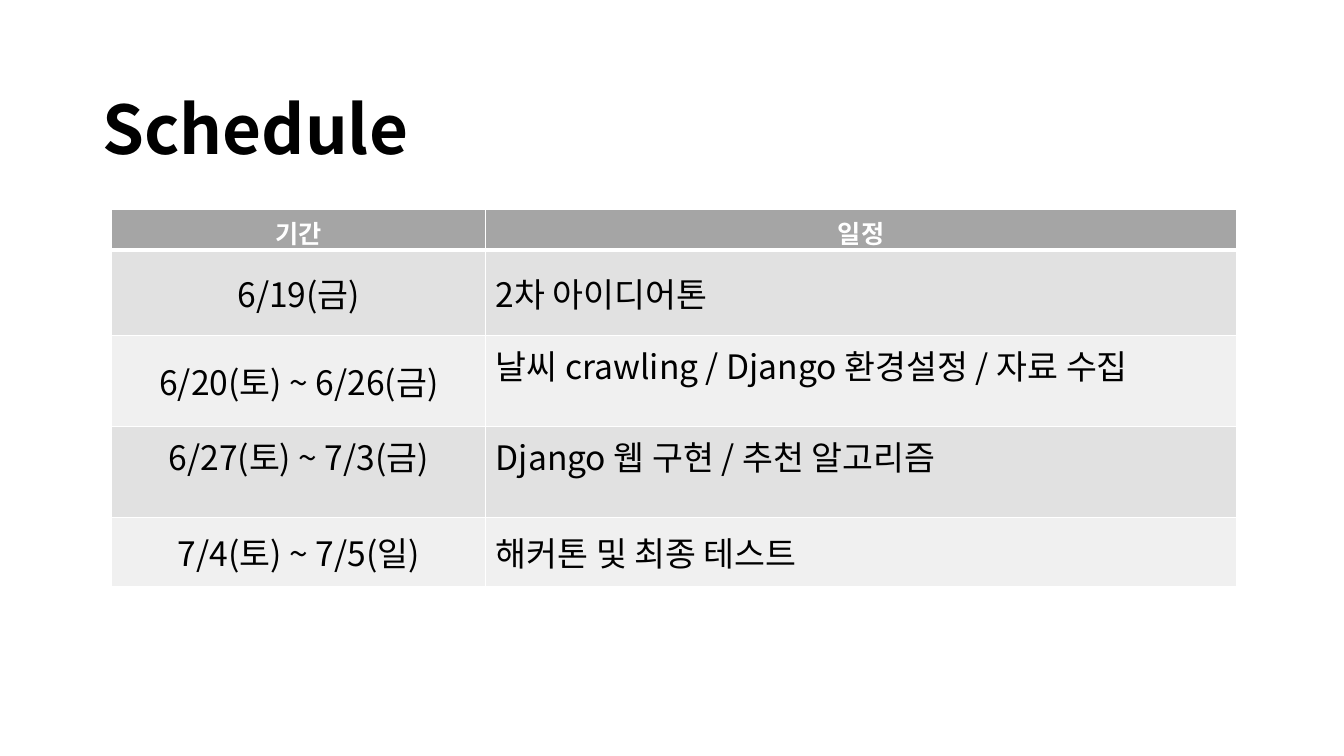
from lxml import etree
from pptx import Presentation
from pptx.dml.color import RGBColor
from pptx.enum.text import MSO_ANCHOR as ANCHOR, PP_ALIGN as ALIGN
from pptx.oxml.ns import qn
from pptx.util import Cm, Pt

FONT = "Noto Sans CJK KR"
HEADER = ("기간", "일정")
PLANS = [
    ("6/19(금)", "2차 아이디어톤"),
    ("6/20(토) ~ 6/26(금)", "날씨 crawling / Django 환경설정 / 자료 수집"),
    ("6/27(토) ~ 7/3(금)", "Django 웹 구현 / 추천 알고리즘"),
    ("7/4(토) ~ 7/5(일)", "해커톤 및 최종 테스트"),
]
COL_WIDTHS = (9.42, 18.92)
ROW_HEIGHTS = (1.02, 2.16, 2.29, 2.29, 1.73)
RAISED = {(2, 1), (3, 0), (3, 1)}
HEAD_TEXT = {"size": Pt(18), "bold": True}
BODY_TEXT = {"size": Pt(24), "bold": False}
TITLE_TEXT = {"size": Pt(48), "bold": True}


def rgb(value):
    """Turn a hex string into a colour."""
    return RGBColor.from_string(value)


def write(tf, text, color, align, fmt):
    """Put one formatted line into a text frame."""
    p = tf.paragraphs[0]
    p.alignment = align
    r = p.add_run()
    r.text = text
    for name, value in {"name": FONT, **fmt}.items():
        setattr(r.font, name, value)
    r.font.color.rgb = rgb(color)
    etree.SubElement(r.font._element, qn("a:ea"), typeface=FONT)


def add_borders(cell, color, widths):
    """Draw the cell borders with the given widths in points."""
    tc_pr = cell._tc.get_or_add_tcPr()
    for side, width in widths.items():
        ln = etree.SubElement(tc_pr, qn(f"a:ln{side}"), w=str(Pt(width)))
        fill = etree.SubElement(ln, qn("a:solidFill"))
        etree.SubElement(fill, qn("a:srgbClr"), val=color)


def add_title(slide, text, left, top, width, height):
    """Place the slide title in its box."""
    tf = slide.shapes.add_textbox(Cm(left), Cm(top), Cm(width), Cm(height)).text_frame
    tf.word_wrap = True
    write(tf, text, "000000", ALIGN.CENTER, TITLE_TEXT)


def fill_cell(cell, row, col, text):
    """Style one schedule cell by its row and column."""
    head = row == 0
    add_borders(cell, "FFFFFF", {
        "L": 1, "R": 1, "T": 3 if row == 1 else 1, "B": 3 if head else 1})
    cell.fill.solid()
    cell.fill.fore_color.rgb = rgb("A5A5A5" if head else "E1E1E1" if row % 2 else "F0F0F0")
    cell.vertical_anchor = ANCHOR.TOP if head else ANCHOR.MIDDLE
    if head:
        cell.margin_bottom = 0
    elif (row, col) in RAISED:
        cell.margin_bottom = Cm(0.94)
    write(cell.text_frame, text, "FFFFFF" if head else "000000",
          ALIGN.CENTER if head or col == 0 else ALIGN.LEFT,
          HEAD_TEXT if head else BODY_TEXT)


def add_schedule(slide, left, top):
    """Build the schedule table from its top left corner."""
    rows = [HEADER, *PLANS]
    table = slide.shapes.add_table(
        len(rows), len(HEADER), Cm(left), Cm(top),
        Cm(sum(COL_WIDTHS)), Cm(sum(ROW_HEIGHTS))).table
    for column, width in zip(table.columns, COL_WIDTHS):
        column.width = Cm(width)
    for i, (texts, height) in enumerate(zip(rows, ROW_HEIGHTS)):
        table.rows[i].height = Cm(height)
        for j, text in enumerate(texts):
            fill_cell(table.cell(i, j), i, j, text)


def main():
    """Create the schedule slide and save it."""
    prs = Presentation()
    prs.slide_width, prs.slide_height = Cm(33.87), Cm(19.05)
    slide = prs.slides.add_slide(prs.slide_layouts[6])
    add_title(slide, "Schedule", 1.7, 2.08, 9.47, 2.31)
    add_schedule(slide, 2.82, 5.28)
    prs.save("out.pptx")


if __name__ == "__main__":
    main()
